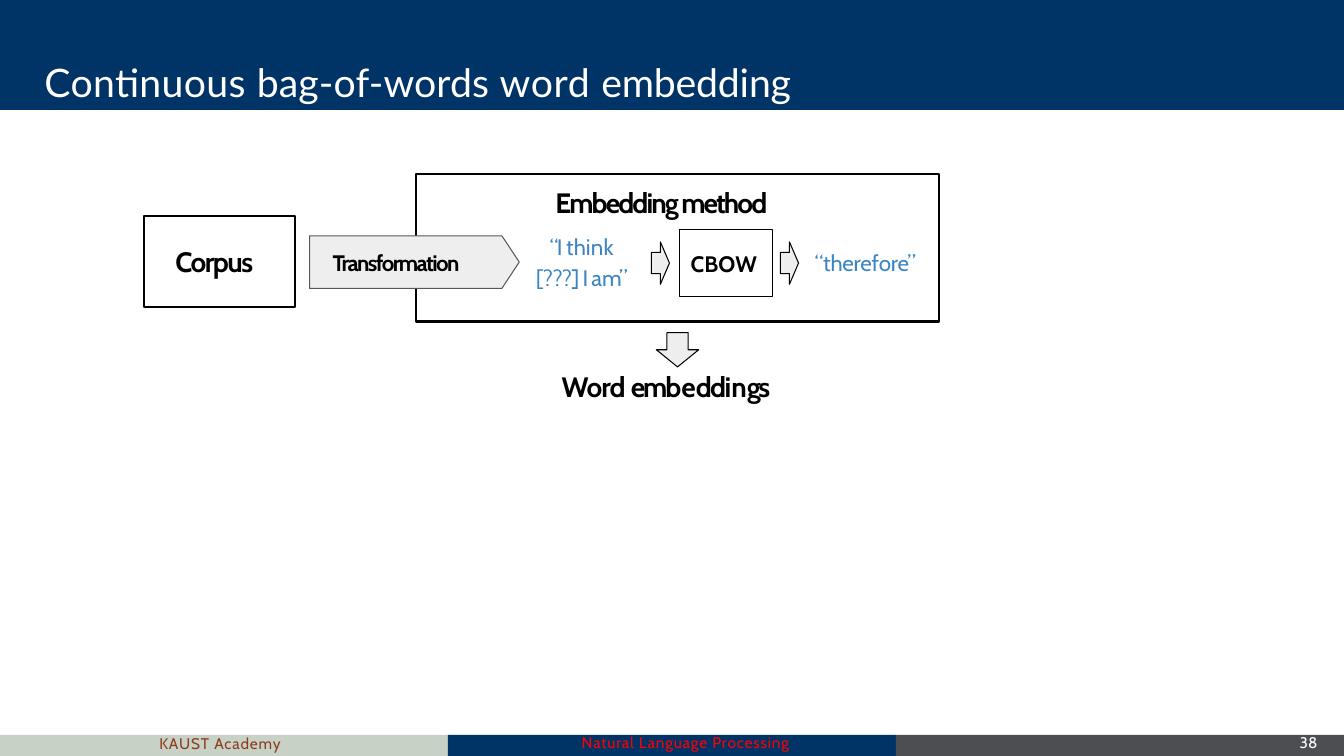
from lxml import etree
from pptx import Presentation
from pptx.dml.color import RGBColor
from pptx.enum import shapes, text
from pptx.util import Inches, Pt

COLORS = {
    "navy": "003366", "sage": "C7D1C5", "slate": "4C4E52", "white": "FFFFFF",
    "black": "000000", "red": "FF0000", "brown": "8D3C1E", "blue": "3C85C5",
    "light": "EEEEEE", "gray": "585858",
}
KIND = shapes.MSO_SHAPE
WIDTH, HEIGHT = 13.33, 7.5


def rgb(name):
    return RGBColor.from_string(COLORS[name])


def write(frame, runs, size=20, font="Cabin", color="black", bold=False, spacing=0,
          inset=(0, 0), middle=False, center=False, leading=None, wrap=True):
    """Fill a text frame; runs is a string or a list of (text, letter spacing)."""
    frame.word_wrap = wrap
    frame.margin_left, frame.margin_top = (Inches(side) for side in inset)
    frame.margin_right = frame.margin_bottom = 0
    frame.vertical_anchor = text.MSO_ANCHOR.MIDDLE if middle else text.MSO_ANCHOR.TOP
    paragraph = frame.paragraphs[0]
    paragraph.alignment = text.PP_ALIGN.CENTER if center else text.PP_ALIGN.LEFT
    if leading:
        paragraph.line_spacing = leading
    for words, gap in [(runs, spacing)] if isinstance(runs, str) else runs:
        run = paragraph.add_run()
        run.text = words
        run.font.size, run.font.name, run.font.bold = Pt(size), font, bold
        run.font.color.rgb = rgb(color)
        run._r.get_or_add_rPr().set("spc", str(round(gap * 100)))


class SlideBuilder:
    def __init__(self, slide):
        self.slide = slide

    def shape(self, kind, left, top, width, height, fill=None, line=None, weight=0.75):
        item = self.slide.shapes.add_shape(
            kind, Inches(left), Inches(top), Inches(width), Inches(height))
        item.shadow.inherit = False
        if fill:
            item.fill.solid()
            item.fill.fore_color.rgb = rgb(fill)
        else:
            item.fill.background()
        if line:
            item.line.color.rgb = rgb(line)
            item.line.width = Pt(weight)
        else:
            item.line.fill.background()
        return item

    def label(self, runs, left, top, width, height, **style):
        box = self.slide.shapes.add_textbox(
            Inches(left), Inches(top), Inches(width), Inches(height))
        write(box.text_frame, runs, **{"inset": (0.01, 0.01), **style})

    def footer(self, words, left, top, width, color, spacing=0.6):
        self.label(words, left, top, width, 0.1, size=11, color=color,
                   spacing=spacing, leading=Pt(5.8), inset=(0.01, 0))


def main():
    deck = Presentation()
    deck.slide_width, deck.slide_height = Inches(WIDTH), Inches(HEIGHT)
    page = SlideBuilder(deck.slides.add_slide(deck.slide_layouts[6]))

    third = WIDTH / 3
    for index, color in enumerate(("sage", "navy", "slate")):
        page.shape(KIND.RECTANGLE, index * third, 7.29, third, 0.21, fill=color)
    page.footer("Natural Language Processing", 5.76, 7.38, 2.39, "red")
    page.footer("KAUST Academy", 1.57, 7.39, 2.39, "brown")
    page.footer("38", 12.88, 7.38, 0.44, "white", spacing=0)

    page.shape(KIND.RECTANGLE, 0, 0, WIDTH, 1.09, fill="navy")
    page.label([("Continuous ", 0.3), ("bag-of-words ", 0.1), ("word ", 0.5),
                ("embedding", -0.1)],
               0.43, 0.57, 8.79, 0.49, size=28, font="Lato", color="white")

    corpus = page.shape(KIND.RECTANGLE, 1.43, 2.14, 1.5, 0.91, line="black", weight=1.5)
    write(corpus.text_frame, "Corpus", bold=True, spacing=-1.1,
          inset=(0.31, 0), middle=True)

    page.shape(KIND.RECTANGLE, 4.13, 1.73, 5.18, 1.46, line="black", weight=1.5)
    page.label("Embedding method", 5.5, 1.83, 2.44, 0.36, bold=True, spacing=-1.4)

    transformation = page.shape(KIND.PENTAGON, 3.07, 2.34, 2.08, 0.52,
                                fill="light", line="gray")
    transformation.adjustments[0] = 0.33
    write(transformation.text_frame, "Transformation", size=16, bold=True, spacing=-1.1,
          inset=(0.23, 0), middle=True, wrap=False)

    page.label([("“I ", -1.1), ("think ", 0.1), ("[", -0.8), ("?", -0.9), ("??", -0.5),
                ("] ", -1.2), ("I ", -1.5), ("a", -0.3), ("m”", -0.6)],
               5.26, 2.26, 1.01, 0.64, size=16, color="blue", center=True, leading=1.15)
    cbow = page.shape(KIND.RECTANGLE, 6.74, 2.28, 0.92, 0.66, line="black")
    write(cbow.text_frame, "CBOW", size=16, bold=True, spacing=0.1,
          inset=(0.11, 0), middle=True)
    for left in (6.46, 7.74):
        page.shape(KIND.RIGHT_ARROW, left, 2.4, 0.18, 0.42, fill="light", line="black")
    page.label("“therefore”", 8.07, 2.46, 1.11, 0.29, size=16, color="blue", spacing=-0.1)

    page.shape(KIND.DOWN_ARROW, 6.51, 3.3, 0.42, 0.34, fill="light", line="black")
    page.label([("Word ", -0.7), ("emb", -1.6), ("e", -1.4), ("ddi", -1.1),
                ("n", -1.6), ("gs", -1.8)], 5.56, 3.66, 2.31, 0.36, bold=True)

    deck.save("out.pptx")


if __name__ == "__main__":
    main()
